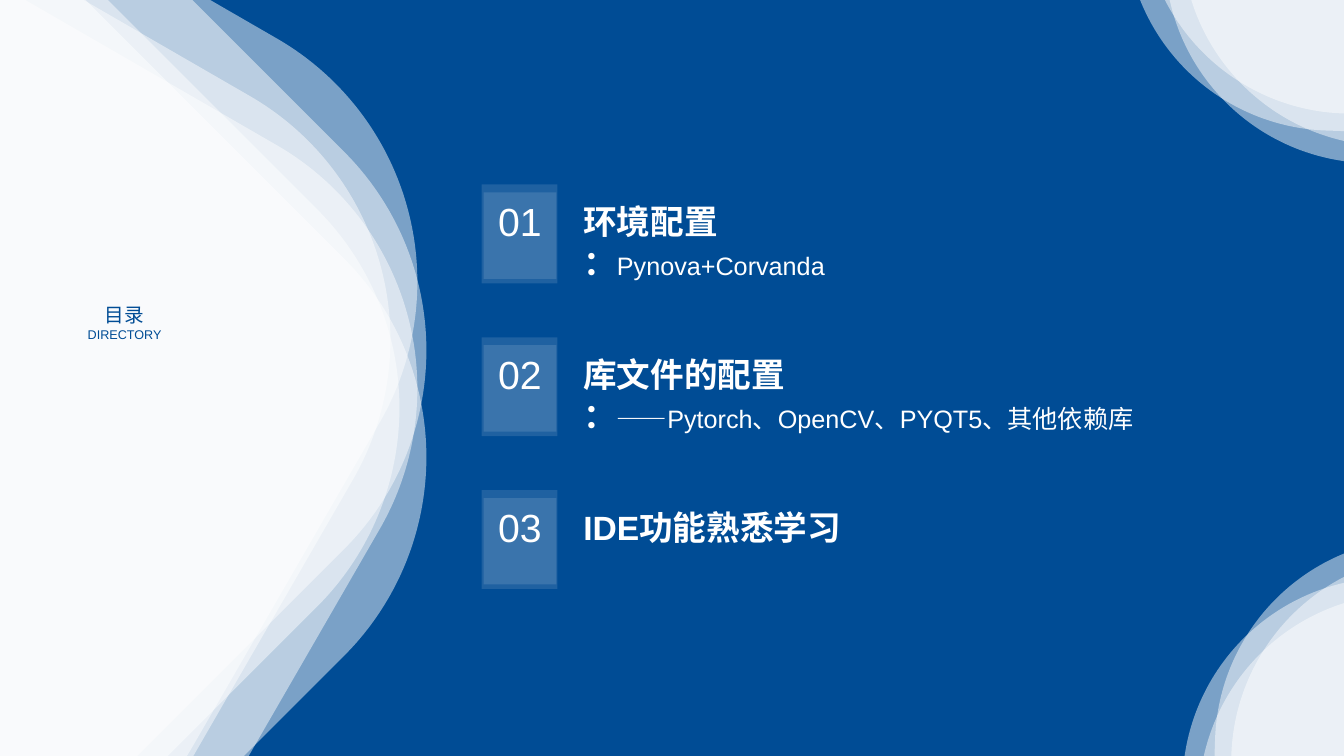
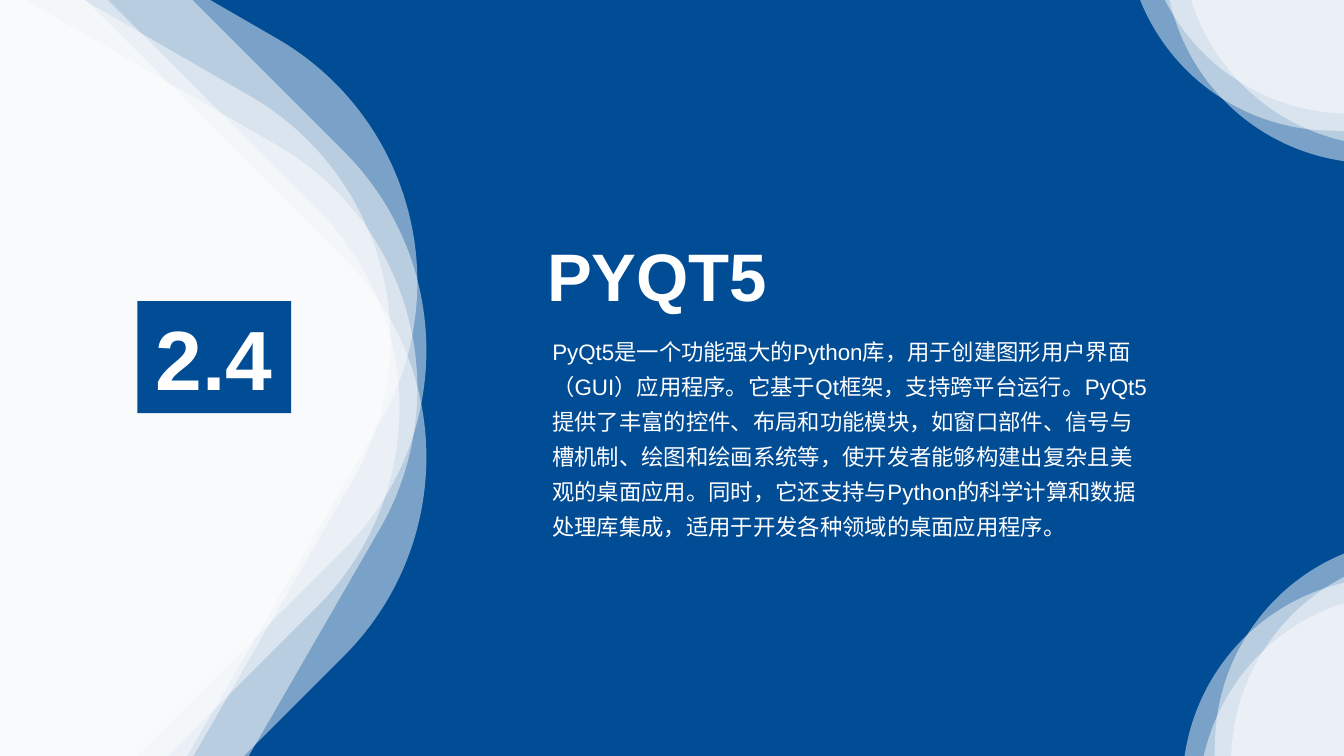
from lxml import etree
from pptx import Presentation
from pptx.dml.color import RGBColor
from pptx.enum.lang import MSO_LANGUAGE_ID
from pptx.enum.shapes import MSO_SHAPE
from pptx.enum.text import MSO_ANCHOR, MSO_AUTO_SIZE, PP_ALIGN
from pptx.oxml.ns import qn
from pptx.util import Cm, Pt

RECT, ROUND = MSO_SHAPE.RECTANGLE, MSO_SHAPE.ROUNDED_RECTANGLE
LEFT, CENTER = PP_ALIGN.LEFT, PP_ALIGN.CENTER
TOP = MSO_ANCHOR.TOP
GROW = MSO_AUTO_SIZE.SHAPE_TO_FIT_TEXT
CHINESE = MSO_LANGUAGE_ID.SIMPLIFIED_CHINESE

BLUE = RGBColor(0x00, 0x4C, 0x95)
WHITE = RGBColor(0xFF, 0xFF, 0xFF)
WIDTH, HEIGHT = 33.87, 19.05

# Text formats
LABEL = {"size": Pt(14), "color": BLUE}
SUBLABEL = {"size": Pt(9), "color": BLUE}
NUMBER = {"size": Pt(28)}
HEADING = {"size": Pt(24), "bold": True}
DETAIL = {"size": Pt(18)}
SECTION_NUMBER = {"size": Pt(60), "bold": True}
TITLE = {"size": Pt(48), "bold": True}
BODY = {"size": Pt(16)}

# Each wave: left, top, side and angle; a twin is turned 15 degrees further
WAVE_ALPHA, WAVE_TURN, WAVE_CORNER = 48, 15, 0.3
WAVES = [
    (-14.81, -2.97, 23.6, 30),
    (-15.49, -1.52, 23.6, 30),
    (-14.81, -0.28, 23.6, 30),
    (30.5, 13.67, 17.48, 76.9),
    (30.91, 14.07, 17.48, 76.9),
    (28.47, -14.07, 17.48, 346.9),
    (28.9, -14.5, 17.48, 346.9),
]


def add_shape(s, kind, box, color, alpha=100):
    """Add a borderless shape; box is in cm, alpha is opacity in percent."""
    sp = s.shapes.add_shape(kind, *map(Cm, box))
    sp.shadow.inherit = False
    sp.line.fill.background()
    sp.fill.solid()
    sp.fill.fore_color.rgb = color
    if alpha < 100:
        clr = sp.element.spPr.find(".//" + qn("a:srgbClr"))
        etree.SubElement(clr, qn("a:alpha"), val=str(alpha * 1000))
    return sp


def write(sp, paragraphs, align=LEFT, wrap=True, spacing=None, auto_size=GROW):
    """Fill a shape with paragraphs, each a list of (text, format) runs."""
    tf = sp.text_frame
    tf.word_wrap, tf.vertical_anchor, tf.auto_size = wrap, TOP, auto_size
    for i, runs in enumerate(paragraphs):
        p = tf.add_paragraph() if i else tf.paragraphs[0]
        p.alignment, p.line_spacing = align, spacing
        for text, fmt in runs:
            r = p.add_run()
            r.text = text
            values = {"name": "Arial", "language_id": CHINESE, "bold": False,
                      "color": WHITE, **fmt}
            r.font.color.rgb = values.pop("color")
            for name, value in values.items():
                setattr(r.font, name, value)


prs = Presentation()
prs.slide_width, prs.slide_height = Cm(WIDTH), Cm(HEIGHT)

# Shared backdrop
slides = [prs.slides.add_slide(prs.slide_layouts[6]) for _ in range(2)]
for s in slides:
    add_shape(s, RECT, (0, 0, WIDTH, HEIGHT), BLUE)
    for left, top, side, angle in WAVES:
        for turn in (0, WAVE_TURN):
            sp = add_shape(s, ROUND, (left, top, side, side), WHITE, WAVE_ALPHA)
            sp.adjustments[0] = WAVE_CORNER
            sp.rotation = (angle + turn) % 360
contents, section = slides

# Contents
sp = contents.shapes.add_textbox(Cm(0.69), Cm(7.52), Cm(4.9), Cm(2.44))
write(sp, [[("目录", LABEL)], [("DIRECTORY", SUBLABEL)]], CENTER, wrap=False,
      auto_size=MSO_AUTO_SIZE.NONE)

TOPICS = [
    ("环境配置", "Pynova+Corvanda"),
    ("库文件的配置", "——Pytorch、OpenCV、PYQT5、其他依赖库"),
    ("IDE功能熟悉学习", None),
]
ROW_TOP, ROW_PITCH = 4.65, 3.85
for i, (heading, detail) in enumerate(TOPICS):
    top = ROW_TOP + i * ROW_PITCH
    paragraphs = [[(heading, HEADING)]]
    if detail:
        paragraphs.append([("：", HEADING), (detail, DETAIL)])
    sp = contents.shapes.add_textbox(Cm(14.45), Cm(top + 0.3), Cm(18.4), Cm(2.31))
    write(sp, paragraphs)
    add_shape(contents, RECT, (12.14, top, 1.91, 2.49), WHITE, 12)
    sp = add_shape(contents, RECT, (12.19, top + 0.2, 1.83, 2.18), WHITE, 12)
    write(sp, [[(f"{i + 1:02}", NUMBER)]], CENTER, auto_size=MSO_AUTO_SIZE.NONE)

# Section
sp = add_shape(section, RECT, (3.46, 7.59, 3.88, 2.82), BLUE)
write(sp, [[("2.4", SECTION_NUMBER)]], CENTER)

sp = section.shapes.add_textbox(Cm(13.54), Cm(5.79), Cm(6.12), Cm(2.31))
write(sp, [[("PYQT5", TITLE)]], wrap=False)

INTRO = (
    "PyQt5是一个功能强大的Python库，用于创建图形用户界面（GUI）应用程序。"
    "它基于Qt框架，支持跨平台运行。"
    "PyQt5提供了丰富的控件、布局和功能模块，如窗口部件、信号与槽机制、"
    "绘图和绘画系统等，使开发者能够构建出复杂且美观的桌面应用。"
    "同时，它还支持与Python的科学计算和数据处理库集成，"
    "适用于开发各种领域的桌面应用程序。"
)
sp = section.shapes.add_textbox(Cm(13.67), Cm(8.2), Cm(15.49), Cm(5.51))
write(sp, [[(INTRO, BODY)]], spacing=1.3)

prs.save("out.pptx")
